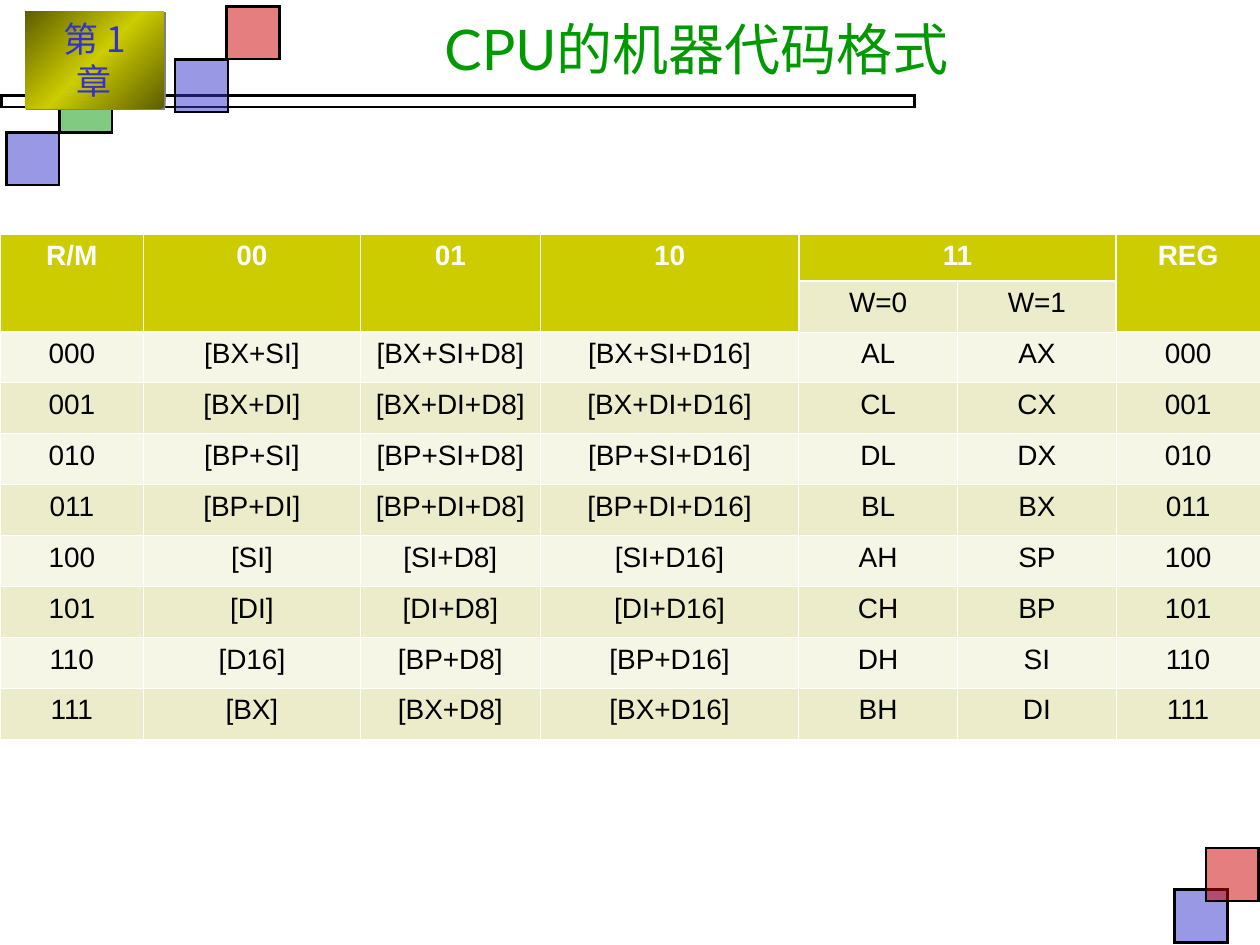
from lxml import etree
from pptx import Presentation
from pptx import util as u
from pptx.dml.color import RGBColor
from pptx.enum import shapes, text
from pptx.oxml import parse_xml
from pptx.oxml.ns import nsdecls, qn

COLORS = {
    "blue": "3333CC", "red": "CC0000", "green": "009900", "black": "000000",
    "white": "FFFFFF", "gold": "CCCC00", "dark_gold": "5E5E00",
    "shadow": "808080", "band": "ECECCB", "pale": "F6F6E7",
}
ASIAN_FONT = "Noto Sans CJK JP"

deck = Presentation()
deck.slide_width, deck.slide_height = u.Inches(10), u.Inches(7.5)
page = deck.slides.add_slide(deck.slide_layouts[6])
COL = deck.slide_width / 100
ROW = deck.slide_height / 75


def write(frame, words, size=16, font="Arial", color="black", bold=False,
          anchor=text.MSO_ANCHOR.TOP, inset=1, spacing=None):
    frame.word_wrap = True
    frame.vertical_anchor = anchor
    frame.margin_left = frame.margin_right = int(inset * COL)
    para = frame.paragraphs[0]
    para.alignment = text.PP_ALIGN.CENTER
    para.line_spacing = spacing
    span = para.add_run()
    span.text = words
    span.font.size, span.font.name, span.font.bold = u.Pt(size), font, bold
    span.font.color.rgb = RGBColor.from_string(COLORS[color])
    span.font._element.find(qn("a:latin")).addnext(
        parse_xml(f'<a:ea {nsdecls("a")} typeface="{ASIAN_FONT}"/>'))


def draw_box(left, top, width, height, color=None):
    box = page.shapes.add_shape(
        shapes.MSO_SHAPE.RECTANGLE, int(left * COL), int(top * ROW),
        int(width * COL), int(height * ROW))
    box.shadow.inherit = False
    box.line.color.rgb = RGBColor.from_string(COLORS["black"])
    box.line.width = u.Pt(1.5)
    etree.SubElement(box._element.spPr.find(qn("a:ln")), qn("a:miter"), lim="800000")
    box.fill.background()
    if color:
        box.fill.solid()
        box.fill.fore_color.rgb = RGBColor.from_string(COLORS[color])
        tint = box._element.spPr.find(qn("a:solidFill"))[0]
        etree.SubElement(tint, qn("a:alpha"), val="50000")
    return box


draw_box(0.1, 7.6, 72.5, 0.9)
SQUARE = 4.2
for left, top, color in [
    (93.2, 70.6, "blue"), (95.7, 67.3, "red"), (13.9, 4.7, "blue"),
    (0.5, 10.5, "blue"), (4.7, 6.3, "green"), (18, 0.5, "red"),
]:
    draw_box(left, top, SQUARE, SQUARE, color)

chapter = draw_box(2, 0.9, 11, 7.7)
chapter.line.fill.background()
stops = "".join(
    f'<a:gs pos="{place}"><a:srgbClr val="{COLORS[color]}"/></a:gs>'
    for place, color in [(0, "dark_gold"), (50000, "gold"), (100000, "dark_gold")])
chapter_look = chapter._element.spPr
chapter_look.replace(chapter_look.find(qn("a:noFill")), parse_xml(
    f'<a:gradFill {nsdecls("a")}><a:gsLst>{stops}</a:gsLst>'
    '<a:lin ang="2700000" scaled="0"/></a:gradFill>'))
chapter_look.find(qn("a:effectLst")).append(parse_xml(
    f'<a:outerShdw {nsdecls("a")} dist="{u.Pt(1.4)}" dir="2700000">'
    f'<a:srgbClr val="{COLORS["shadow"]}"/></a:outerShdw>'))
write(chapter.text_frame, "第 1 章", size=20, font=ASIAN_FONT, color="blue",
      anchor=text.MSO_ANCHOR.MIDDLE, inset=1.5, spacing=u.Pt(24))

title = page.shapes.add_textbox(
    int(22.4 * COL), int(0.8 * ROW), int(65.8 * COL), int(6 * ROW))
write(title.text_frame, "CPU的机器代码格式", size=32, font="Lato",
      color="green", anchor=text.MSO_ANCHOR.MIDDLE)

addresses = ["BX+SI", "BX+DI", "BP+SI", "BP+DI", "SI", "DI", "BP", "BX"]
byte_registers = ["AL", "CL", "DL", "BL", "AH", "CH", "DH", "BH"]
word_registers = ["AX", "CX", "DX", "BX", "SP", "BP", "SI", "DI"]
rows = [["R/M", "00", "01", "10", "11", "", "REG"],
        ["", "", "", "", "W=0", "W=1", ""]]
for code, (address, byte, word) in enumerate(
        zip(addresses, byte_registers, word_registers)):
    bits = f"{code:03b}"
    plain = "D16" if bits == "110" else address
    rows.append([bits, f"[{plain}]", f"[{address}+D8]", f"[{address}+D16]",
                 byte, word, bits])

widths = [11.4, 17.2, 14.3, 20.5, 12.6, 12.6, 11.4]
HEAD, TOTAL = 3.7, 40.1
table = page.shapes.add_table(
    len(rows), len(widths), 0, int(18.6 * ROW), int(100 * COL), int(TOTAL * ROW)).table
table.first_row = table.horz_banding = False
for column, width in zip(table.columns, widths):
    column.width = int(width * COL)
for r, line in enumerate(table.rows):
    line.height = int((HEAD if r == 0 else (TOTAL - HEAD) / (len(rows) - 1)) * ROW)
SPLIT = (4, 5)
for c in range(len(widths)):
    if c not in SPLIT:
        table.cell(0, c).merge(table.cell(1, c))
table.cell(0, SPLIT[0]).merge(table.cell(0, SPLIT[1]))

for r, words_in_row in enumerate(rows):
    for c, words in enumerate(words_in_row):
        cell = table.cell(r, c)
        header_end = 1 if c in SPLIT else 2
        bottom = r + (cell.span_height if cell.is_merge_origin else 1)
        right = c + (cell.span_width if cell.is_merge_origin else 1)
        thick = {
            "L": r < 2 and c in (4, 6), "R": r < 2 and right in (4, 6),
            "T": r == header_end, "B": bottom == header_end,
        }
        for side, is_thick in thick.items():
            cell._tc.get_or_add_tcPr().append(parse_xml(
                f'<a:ln{side} {nsdecls("a")} w="{u.Pt(1.47 if is_thick else 0.45)}">'
                f'<a:solidFill><a:srgbClr val="{COLORS["white"]}"/></a:solidFill>'
                f'</a:ln{side}>'))
        is_header = r < header_end
        shade = "gold" if is_header else "band" if r % 2 else "pale"
        cell.fill.solid()
        cell.fill.fore_color.rgb = RGBColor.from_string(COLORS[shade])
        if words:
            cell.vertical_anchor = text.MSO_ANCHOR.TOP
            write(cell.text_frame, words, bold=is_header,
                  color="white" if is_header else "black")

deck.save("out.pptx")
